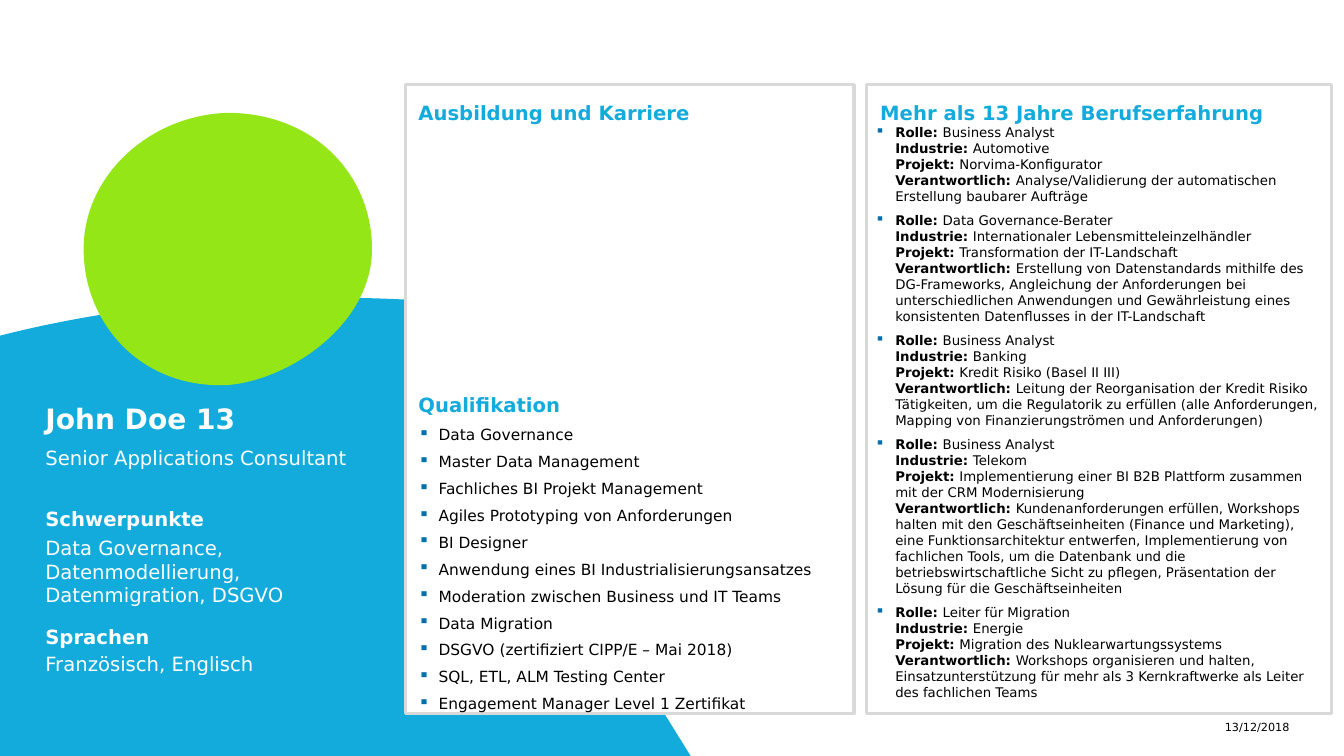
from lxml import etree
from pptx import Presentation
from pptx.dml.color import RGBColor
from pptx.enum.shapes import MSO_SHAPE
from pptx.enum.text import MSO_ANCHOR, PP_ALIGN
from pptx.oxml.ns import qn
from pptx.util import Inches, Pt

RECTANGLE = MSO_SHAPE.RECTANGLE
TOP, MIDDLE = MSO_ANCHOR.TOP, MSO_ANCHOR.MIDDLE
LEFT, RIGHT = PP_ALIGN.LEFT, PP_ALIGN.RIGHT
FONT = "DejaVu Sans"
BULLET_FONT = "OpenSymbol"
COLORS = {
    "blue": "12ABDB", "green": "95E616", "white": "FFFFFF",
    "border": "D9D9D9", "black": "000000", "bullet": "0070AD",
}

prs = Presentation()
prs.slide_width, prs.slide_height = Inches(13.33), Inches(7.5)
slide = prs.slides.add_slide(prs.slide_layouts[6])


def add_blob(start, segments, color):
    points = [(Inches(x), Inches(y)) for segment in segments
              for x, y in zip(segment[::2], segment[1::2])]
    builder = slide.shapes.build_freeform(Inches(start[0]), Inches(start[1]))
    builder.add_line_segments(points, close=True)
    blob = builder.convert_to_shape()
    blob.shadow.inherit = False
    blob.fill.solid()
    blob.fill.fore_color.rgb = RGBColor.from_string(COLORS[color])
    blob.line.fill.background()
    lines = iter(list(blob._element.iter(qn("a:lnTo"))))
    for segment in segments:
        first = next(lines)
        if len(segment) == 6:
            curve = etree.Element(qn("a:cubicBezTo"))
            first.addprevious(curve)
            for line in (first, next(lines), next(lines)):
                curve.append(line[0])
                line.getparent().remove(line)


def add_text(box, paragraphs, size, color, bold=False, anchor=TOP, inset=0,
             bullet=False, align=LEFT, spacing=None, after=6):
    frame = slide.shapes.add_textbox(*map(Inches, box)).text_frame
    frame_format = {
        "word_wrap": True, "vertical_anchor": anchor, "margin_left": Inches(inset),
        "margin_right": Inches(inset), "margin_top": 0, "margin_bottom": 0,
    }
    for attribute, value in frame_format.items():
        setattr(frame, attribute, value)
    for index, lines in enumerate(paragraphs):
        paragraph = frame.add_paragraph() if index else frame.paragraphs[0]
        paragraph_format = {"alignment": align, "space_after": Pt(after), "line_spacing": spacing}
        for attribute, value in paragraph_format.items():
            setattr(paragraph, attribute, value)
        if bullet:
            properties = paragraph._p.get_or_add_pPr()
            properties.set("marL", str(Inches(0.2)))
            properties.set("indent", str(Inches(-0.2)))
            bullet_color = etree.SubElement(properties, qn("a:buClr"))
            etree.SubElement(bullet_color, qn("a:srgbClr"), val=COLORS["bullet"])
            etree.SubElement(properties, qn("a:buFont"), typeface=BULLET_FONT)
            etree.SubElement(properties, qn("a:buChar"), char="▪")
        for number, (label, content) in enumerate(lines):
            if number:
                paragraph.add_line_break()
            for words, is_bold in ((label, True), (content, bold)):
                if words:
                    run = paragraph.add_run()
                    run.text = words
                    run_format = {"name": FONT, "size": Pt(size), "bold": is_bold}
                    for attribute, value in run_format.items():
                        setattr(run.font, attribute, value)
                    run.font.color.rgb = RGBColor.from_string(COLORS[color])


add_blob((3.1, 2.95), [
    (3.46, 2.95, 3.82, 2.96, 4.18, 2.98), (4.49, 4.11, 5.57, 5.49, 6.54, 7),
    (6.85, 7.5), (0, 7.5), (0, 7), (0, 6.59), (0, 6.17), (0, 5.74), (0, 5.29),
    (0, 4.82), (0, 4.34), (0, 3.84), (0, 3.33), (0.98, 3.08, 2.03, 2.96, 3.1, 2.95),
], "blue")
add_blob((0.83, 2.47), [
    (0.83, 1.73, 1.5, 1.14, 2.26, 1.12), (3.11, 1.12, 3.69, 1.73, 3.69, 2.47),
    (3.69, 3.22, 2.87, 3.77, 2.26, 3.82), (1.41, 3.86, 0.83, 3.22, 0.83, 2.47),
], "green")

for panel_left, panel_width in ((8.59, 4.62), (4.02, 4.45)):
    panel = slide.shapes.add_shape(
        RECTANGLE, Inches(panel_left), Inches(0.84), Inches(panel_width), Inches(6.24))
    panel.shadow.inherit = False
    panel.fill.solid()
    panel.fill.fore_color.rgb = RGBColor.from_string(COLORS["white"])
    panel.line.color.rgb = RGBColor.from_string(COLORS["border"])
    panel.line.width = Pt(2.25)

project_labels = ("Rolle: ", "Industrie: ", "Projekt: ", "Verantwortlich: ")
projects = [
    ("Business Analyst", "Automotive", "Norvima-Konfigurator",
     "Analyse/Validierung der automatischen Erstellung baubarer Aufträge"),
    ("Data Governance-Berater", "Internationaler Lebensmitteleinzelhändler",
     "Transformation der IT-Landschaft",
     "Erstellung von Datenstandards mithilfe des DG-Frameworks, Angleichung der "
     "Anforderungen bei unterschiedlichen Anwendungen und Gewährleistung eines "
     "konsistenten Datenflusses in der IT-Landschaft"),
    ("Business Analyst", "Banking", "Kredit Risiko (Basel II III)",
     "Leitung der Reorganisation der Kredit Risiko Tätigkeiten, um die Regulatorik zu "
     "erfüllen (alle Anforderungen, Mapping von Finanzierungströmen und Anforderungen)"),
    ("Business Analyst", "Telekom",
     "Implementierung einer BI B2B Plattform zusammen mit der CRM Modernisierung",
     "Kundenanforderungen erfüllen, Workshops halten mit den Geschäftseinheiten (Finance "
     "und Marketing), eine Funktionsarchitektur entwerfen, Implementierung von fachlichen "
     "Tools, um die Datenbank und die betriebswirtschaftliche Sicht zu pflegen, "
     "Präsentation der Lösung für die Geschäftseinheiten"),
    ("Leiter für Migration", "Energie", "Migration des Nuklearwartungssystems",
     "Workshops organisieren und halten, Einsatzunterstützung für mehr als 3 "
     "Kernkraftwerke als Leiter des fachlichen Teams"),
]
add_text((8.68, 1.23, 4.45, 5.83), [list(zip(project_labels, project)) for project in projects],
         9.5, "black", bullet=True)

panel_headings = [
    ("Mehr als 13 Jahre Berufserfahrung", 8.6, 0.86, 4.45),
    ("Ausbildung und Karriere", 4.02, 0.86, 4.46),
    ("Qualifikation", 4.02, 3.75, 4.46),
]
for heading, left, top, width in panel_headings:
    add_text((left, top, width, 0.45), [[("", heading)]], 14, "blue", bold=True,
             anchor=MIDDLE, inset=0.13, spacing=Pt(22))

qualifications = [
    "Data Governance", "Master Data Management", "Fachliches BI Projekt Management",
    "Agiles Prototyping von Anforderungen", "BI Designer",
    "Anwendung eines BI Industrialisierungsansatzes",
    "Moderation zwischen Business und IT Teams", "Data Migration",
    "DSGVO (zertifiziert CIPP/E – Mai 2018)", "SQL, ETL, ALM Testing Center",
    "Engagement Manager Level 1 Zertifikat",
]
add_text((4.15, 4.22, 4.17, 2.57), [[("", skill)] for skill in qualifications],
         11, "black", bullet=True)

add_text((0.45, 3.94, 3.31, 0.45), [[("", "John Doe 13")]], 20, "white", bold=True,
         anchor=MIDDLE, spacing=Pt(22), after=0)
for heading, top in (("Schwerpunkte", 4.93), ("Sprachen", 6.1)):
    add_text((0.45, top, 3.31, 0.36), [[("", heading)]], 14, "white", bold=True,
             anchor=MIDDLE, spacing=Pt(22))
profile_details = [
    ("Senior Applications Consultant", 4.42, 3.31, 0.59),
    ("Data Governance, Datenmodellierung, Datenmigration, DSGVO", 5.32, 3.46, 0.32),
    ("Französisch, Englisch", 6.47, 3.31, 0.59),
]
for detail, top, width, height in profile_details:
    add_text((0.45, top, width, height), [[("", detail)]], 14, "white")

add_text((9.89, 7.09, 3, 0.24), [[("", "13/12/2018")]], 8, "black",
         anchor=MIDDLE, inset=0.1, align=RIGHT, after=0)

prs.save("out.pptx")
